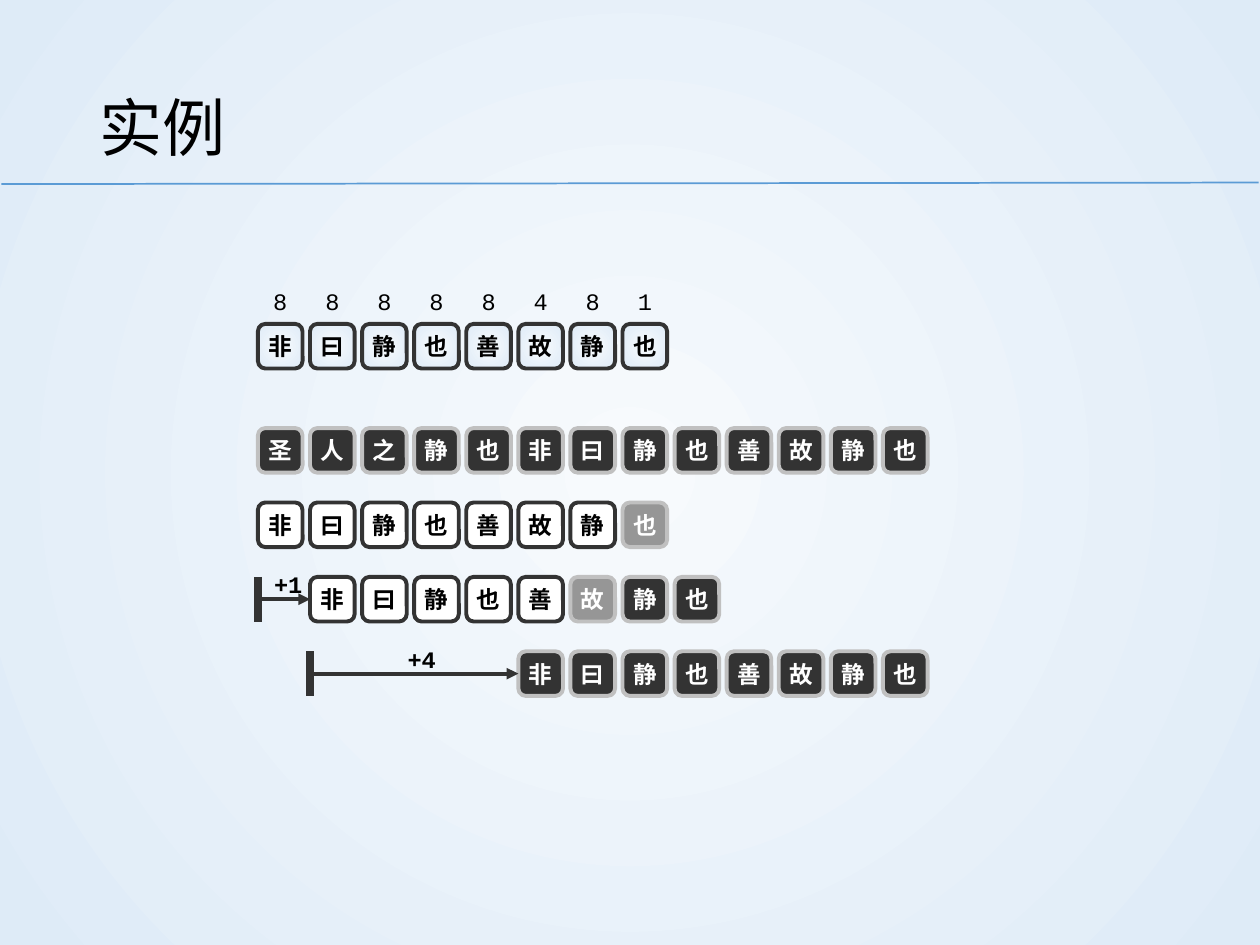
from lxml import etree
from pptx import Presentation
from pptx.dml.color import RGBColor
from pptx.enum.shapes import MSO_CONNECTOR, MSO_SHAPE
from pptx.enum.text import MSO_ANCHOR, PP_ALIGN
from pptx.oxml.ns import qn
from pptx.util import Cm, Pt

STRAIGHT = MSO_CONNECTOR.STRAIGHT
ROUNDED = MSO_SHAPE.ROUNDED_RECTANGLE
MIDDLE = MSO_ANCHOR.MIDDLE
CENTER, LEFT = PP_ALIGN.CENTER, PP_ALIGN.LEFT

COLORS = {"black": "000000", "white": "FFFFFF", "dark": "333333",
          "gray": "969696", "silver": "C0C0C0", "rule": "5B9BD5",
          "glow": "F7FAFD", "edge": "DEEBF7"}
CJK, MONO, SANS = "Noto Sans CJK SC", "Courier New", "Arial"

TITLE = "实例"
PATTERN = "非曰静也善故静也"
SHIFTS = "88888481"
# Tile state: fill (None is the radial gradient), border, text colour, font
STATES = {
    "p": (None, "dark", "black", MONO),       # pattern
    "o": ("white", "dark", "black", CJK),     # not compared
    "x": ("gray", "silver", "white", CJK),    # mismatch
    "m": ("dark", "silver", "white", CJK),    # matched
}
# Top in cm, first column, characters, state of each character
ROWS = [
    (6.53, 0, PATTERN, "pppppppp"),
    (8.63, 0, "圣人之静也" + PATTERN, "mmmmmmmmmmmmm"),
    (10.13, 0, PATTERN, "ooooooox"),
    (11.63, 1, PATTERN, "oooooxmm"),
    (13.13, 5, PATTERN, "mmmmmmmm"),
]
# Row top, column of the stop bar, column of the arrow tip, label, label left
MOVES = [(11.63, 0, 1, "+1", 5.36), (13.13, 1, 5, "+4", 8.05)]
SHIFT_TOP, GRID_LEFT, PITCH, TILE = 5.61, 5.2, 1.05, 0.9


def rgb(name):
    return RGBColor.from_string(COLORS[name])


def column_left(column):
    return GRID_LEFT + column * PITCH


def fill_radial(fill, element):
    """Turn the fill into a circular gradient spreading from the centre."""
    fill.gradient()
    for stop, name in zip(fill.gradient_stops, ("glow", "edge")):
        stop.color.rgb = rgb(name)
    linear = next(element.iter(qn("a:lin")))
    circle = etree.Element(qn("a:path"), {"path": "circle"})
    etree.SubElement(circle, qn("a:fillToRect"),
                     {side: "50000" for side in "ltrb"})
    linear.getparent().replace(linear, circle)


def write(box, text, color="black", align=CENTER, inset=0, wrap=False,
          spacing=1.0, **font):
    frame = box.text_frame
    settings = {"word_wrap": wrap, "vertical_anchor": MIDDLE,
                "margin_left": Cm(inset), "margin_right": Cm(inset),
                "margin_top": Cm(inset / 2), "margin_bottom": Cm(inset / 2)}
    for key, value in settings.items():
        setattr(frame, key, value)
    para = frame.paragraphs[0]
    para.alignment, para.line_spacing = align, spacing
    span = para.add_run()
    span.text = text
    for key, value in ({"size": Pt(13.5)} | font).items():
        setattr(span.font, key, value)
    span.font.color.rgb = rgb(color)
    latin = span.font._element.find(qn("a:latin"))
    latin.addnext(etree.Element(qn("a:ea"), {"typeface": CJK}))


def add_label(page, left, top, text, width=TILE, height=TILE, **style):
    box = page.shapes.add_textbox(Cm(left), Cm(top), Cm(width), Cm(height))
    write(box, text, **style)


def add_tile(page, left, top, text, state):
    fill, border, color, font = STATES[state]
    tile = page.shapes.add_shape(ROUNDED, Cm(left), Cm(top), Cm(TILE), Cm(TILE))
    tile.shadow.inherit = False
    if fill:
        tile.fill.solid()
        tile.fill.fore_color.rgb = rgb(fill)
    else:
        fill_radial(tile.fill, tile.element)
    tile.line.color.rgb = rgb(border)
    tile.line.width = Pt(2.25)
    write(tile, text, color, name=font, bold=True)


def add_line(page, start, end, color, width, arrow=False):
    line = page.shapes.add_connector(STRAIGHT, *map(Cm, start + end))
    line.line.color.rgb = rgb(color)
    line.line.width = Pt(width)
    if arrow:
        etree.SubElement(line.line._get_or_add_ln(), qn("a:tailEnd"),
                         {"type": "triangle"})
    etree.SubElement(line.element.spPr, qn("a:effectLst"))


def main():
    deck = Presentation()
    deck.slide_width, deck.slide_height = Cm(25.4), Cm(19.05)
    page = deck.slides.add_slide(deck.slide_layouts[6])
    fill_radial(page.background.fill, page.element)

    add_line(page, (0.03, 3.71), (25.37, 3.68), "rule", 1)
    add_label(page, 1.75, 1.02, TITLE, 21.9, 2.74, align=LEFT, inset=0.25,
              wrap=True, spacing=1.2, name=SANS, size=Pt(36))

    for column, shift in enumerate(SHIFTS):
        add_label(page, column_left(column), SHIFT_TOP, shift, name=MONO)
    for top, first, characters, states in ROWS:
        for column, (text, state) in enumerate(zip(characters, states), first):
            add_tile(page, column_left(column), top, text, state)

    for top, bar, tip, label, label_left in MOVES:
        start, middle = column_left(bar), top + TILE / 2
        add_line(page, (start, middle), (column_left(tip), middle),
                 "dark", 2.25, arrow=True)
        add_line(page, (start, top), (start, top + TILE), "dark", 4.5)
        add_label(page, label_left, top - 0.3, label, name=MONO, bold=True)

    deck.save("out.pptx")


if __name__ == "__main__":
    main()
